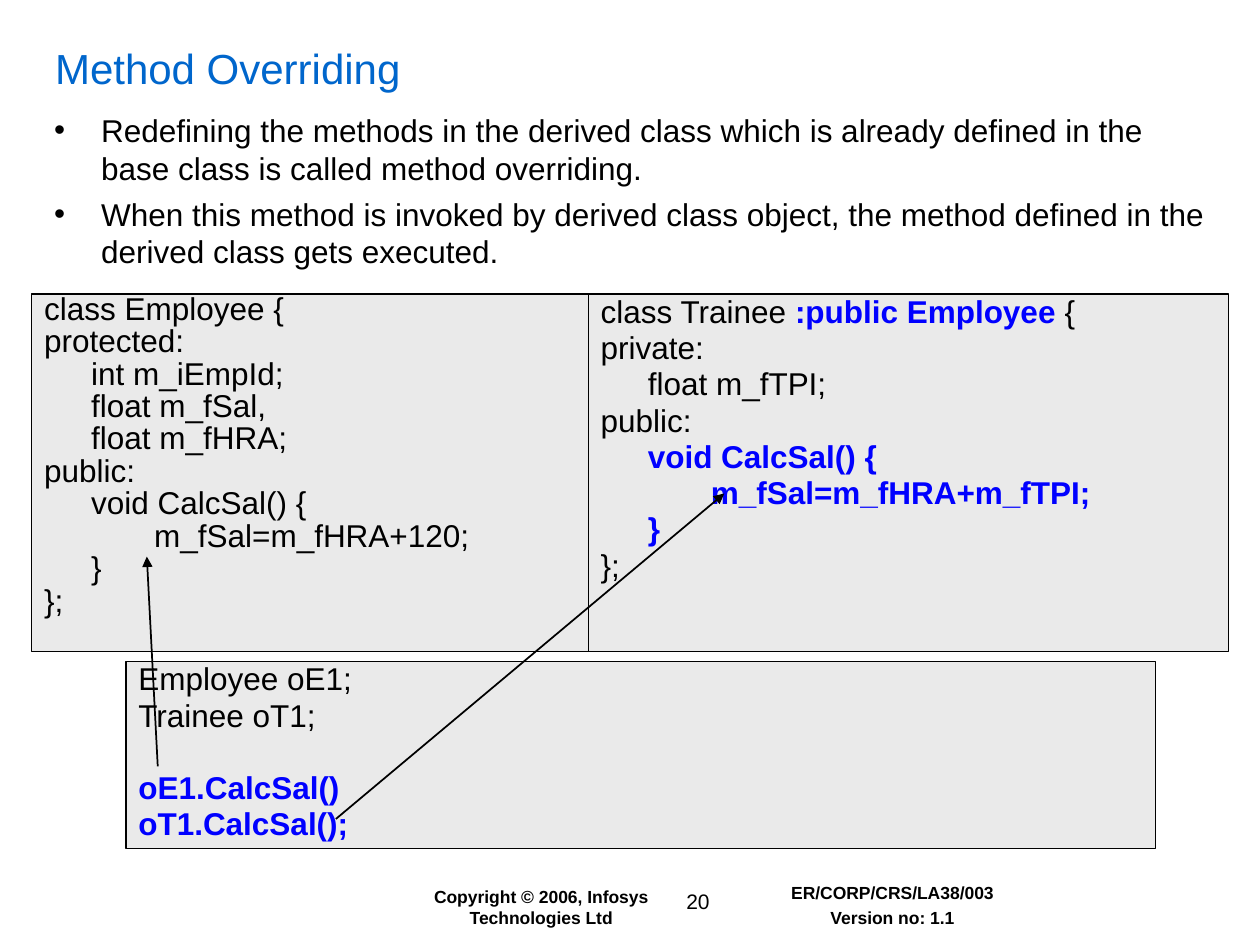
from lxml.etree import SubElement
from pptx import Presentation
from pptx.dml.color import RGBColor as RGB
from pptx.enum.shapes import MSO_CONNECTOR as CONN, MSO_SHAPE as SHAPE
from pptx.enum.text import MSO_ANCHOR as ANCHOR, PP_ALIGN as ALIGN
from pptx.oxml.ns import qn
from pptx.util import Cm, Pt

# Content: a paragraph is a list of (text, style) runs
TITLE = "Method Overriding"
BULLETS = [
    "Redefining the methods in the derived class which is already defined in the "
    "base class is called method overriding.",
    "When this method is invoked by derived class object, the method defined in the "
    "derived class gets executed.",
]
EMPLOYEE = [[(line, "body")] for line in (
    "class Employee {", "protected:", "\tint m_iEmpId;", "\tfloat m_fSal,",
    "\tfloat m_fHRA;", "public:", "\tvoid CalcSal() {",
    "\t\tm_fSal=m_fHRA+120;", "\t}", "};")]
TRAINEE = [
    [("class Trainee ", "body"), (":public Employee", "key"), (" {", "body")],
    [("private:", "body")],
    [("\tfloat m_fTPI;", "body")],
    [("public:", "body")],
    [("\tvoid CalcSal() {", "key")],
    [("\t\tm_fSal=m_fHRA+m_fTPI;", "key")],
    [("\t}", "key")],
    [("};", "body")],
]
DECLARATIONS = [[("Employee oE1;", "body")], [("Trainee oT1;", "body")]]
CALLS = [[("oE1.CalcSal()", "key")], [("oT1.CalcSal();", "key")]]

# Footer: lines, style, space before, box in cm, wrap
FOOTER = [
    (["Copyright © 2006, Infosys Technologies Ltd"], "footer", 0,
     (8.05, 17.73, 5.72, 1.12), True),
    (["20"], "number", 0, (12.85, 17.78, 2.44, 0.76), False),
    (["ER/CORP/CRS/LA38/003", "Version no: 1.1"], "footer", 2.5,
     (14.6, 17.65, 6.78, 1.19), True),
]

THEME = {
    "panel": RGB(0xEA, 0xEA, 0xEA),
    "line": RGB(0, 0, 0),
    "title": {"size": Pt(24), "bold": False, "color": RGB(0, 0x66, 0xCC)},
    "body": {"size": Pt(18), "bold": False, "color": RGB(0, 0, 0)},
    "key": {"size": Pt(18), "bold": True, "color": RGB(0, 0, 0xFF)},
    "footer": {"size": Pt(10), "bold": True, "color": RGB(0, 0, 0)},
    "number": {"size": Pt(12), "bold": False, "color": RGB(0, 0, 0)},
    "font": "Arial",
}
INSETS = {"margin_left": Cm(0.25), "margin_right": Cm(0.25),
          "margin_top": Cm(0.13), "margin_bottom": Cm(0.13)}
HANG = Cm(0.95)
TAB = Cm(2.54)
GAP = 4.5        # points before a paragraph
GROUP_GAP = 25   # points before a new group of statements


def set_all(obj, values):
    for name, value in values.items():
        setattr(obj, name, value)


def set_frame(tf, wrap=True, anchor=ANCHOR.TOP):
    set_all(tf, {**INSETS, "word_wrap": wrap, "vertical_anchor": anchor})


def indent(p, bullet=False):
    pPr = p._p.get_or_add_pPr()
    pPr.set("marL", str(HANG))
    pPr.set("indent", str(-HANG))
    if bullet:
        SubElement(pPr, qn("a:buFont"), typeface=THEME["font"])
        SubElement(pPr, qn("a:buChar"), char="•")
    else:
        tabs = SubElement(pPr, qn("a:tabLst"))
        SubElement(tabs, qn("a:tab"), pos=str(TAB), algn="l")


def add_paragraph(tf, i, runs, **fmt):
    p = tf.paragraphs[0] if i == 0 else tf.add_paragraph()
    if i == 0:
        fmt["space_before"] = Pt(0)
    set_all(p, fmt)
    for text, style in runs:
        r = p.add_run()
        r.text = text
        look = THEME[style]
        set_all(r.font, {"name": THEME["font"], "size": look["size"],
                         "bold": look["bold"]})
        r.font.color.rgb = look["color"]
    return p


def add_text(slide, box, wrap=True, anchor=ANCHOR.TOP):
    tf = slide.shapes.add_textbox(*map(Cm, box)).text_frame
    set_frame(tf, wrap, anchor)
    return tf


def add_code(slide, box, groups, spacing):
    sp = slide.shapes.add_shape(SHAPE.RECTANGLE, *map(Cm, box))
    sp.shadow.inherit = False
    sp.fill.solid()
    sp.fill.fore_color.rgb = THEME["panel"]
    sp.line.color.rgb = THEME["line"]
    sp.line.width = Pt(0.75)
    set_frame(sp.text_frame)
    i = 0
    for group in groups:
        for n, runs in enumerate(group):
            p = add_paragraph(sp.text_frame, i, runs, alignment=ALIGN.LEFT,
                              line_spacing=spacing,
                              space_before=Pt(GAP if n else GROUP_GAP))
            indent(p)
            i += 1


def add_arrow(slide, start, end):
    cx = slide.shapes.add_connector(CONN.STRAIGHT, *map(Cm, start + end))
    cx.line.color.rgb = THEME["line"]
    cx.line.width = Pt(1)
    SubElement(cx.line._get_or_add_ln(), qn("a:tailEnd"), type="triangle")
    SubElement(cx._element.spPr, qn("a:effectLst"))


def main():
    prs = Presentation()
    prs.slide_width, prs.slide_height = Cm(25.4), Cm(19.05)
    slide = prs.slides.add_slide(prs.slide_layouts[6])

    # Footer
    for lines, style, gap, box, wrap in FOOTER:
        tf = add_text(slide, box, wrap)
        for i, line in enumerate(lines):
            add_paragraph(tf, i, [(line, style)], alignment=ALIGN.CENTER,
                          space_before=Pt(gap))

    # Title and bullets
    tf = add_text(slide, (0.86, 0.66, 23.83, 1.42), anchor=ANCHOR.MIDDLE)
    add_paragraph(tf, 0, [(TITLE, "title")])
    tf = add_text(slide, (0.84, 2.11, 23.7, 3.61))
    for i, text in enumerate(BULLETS):
        indent(add_paragraph(tf, i, [(text, "body")], space_before=Pt(GAP)), True)

    # Two classes side by side, and the calls below
    left, top, height = 0.64, 5.93, 7.2
    base_w, derived_w = 11.22, 12.9
    add_code(slide, (left, top, base_w, height), [EMPLOYEE], 0.65)
    add_code(slide, (left + base_w, top, derived_w, height), [TRAINEE], 0.75)
    add_code(slide, (2.54, 13.34, 20.75, 3.76), [DECLARATIONS, CALLS], 0.75)

    # Each call points at the method it runs
    add_arrow(slide, (3.18, 15.45), (2.96, 11.22))
    add_arrow(slide, (6.77, 16.51), (14.6, 9.95))

    prs.save("out.pptx")


if __name__ == "__main__":
    main()
